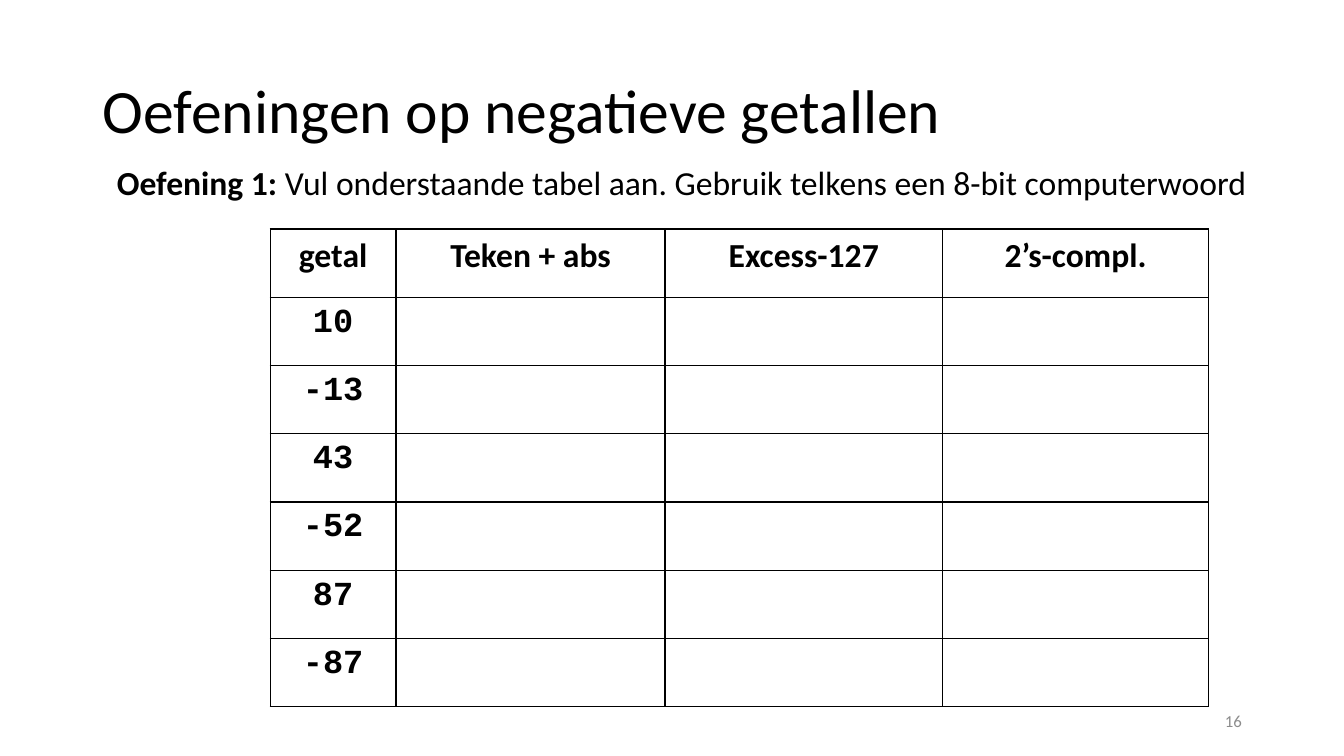
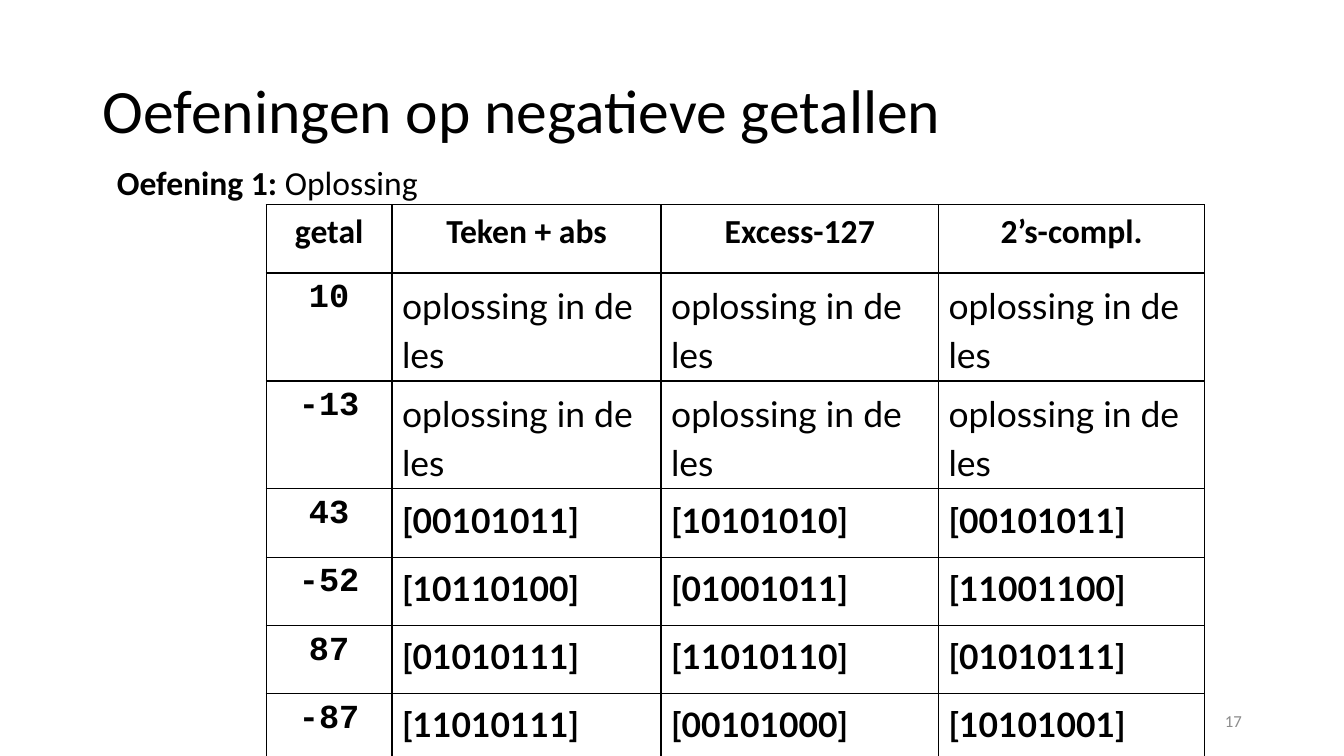
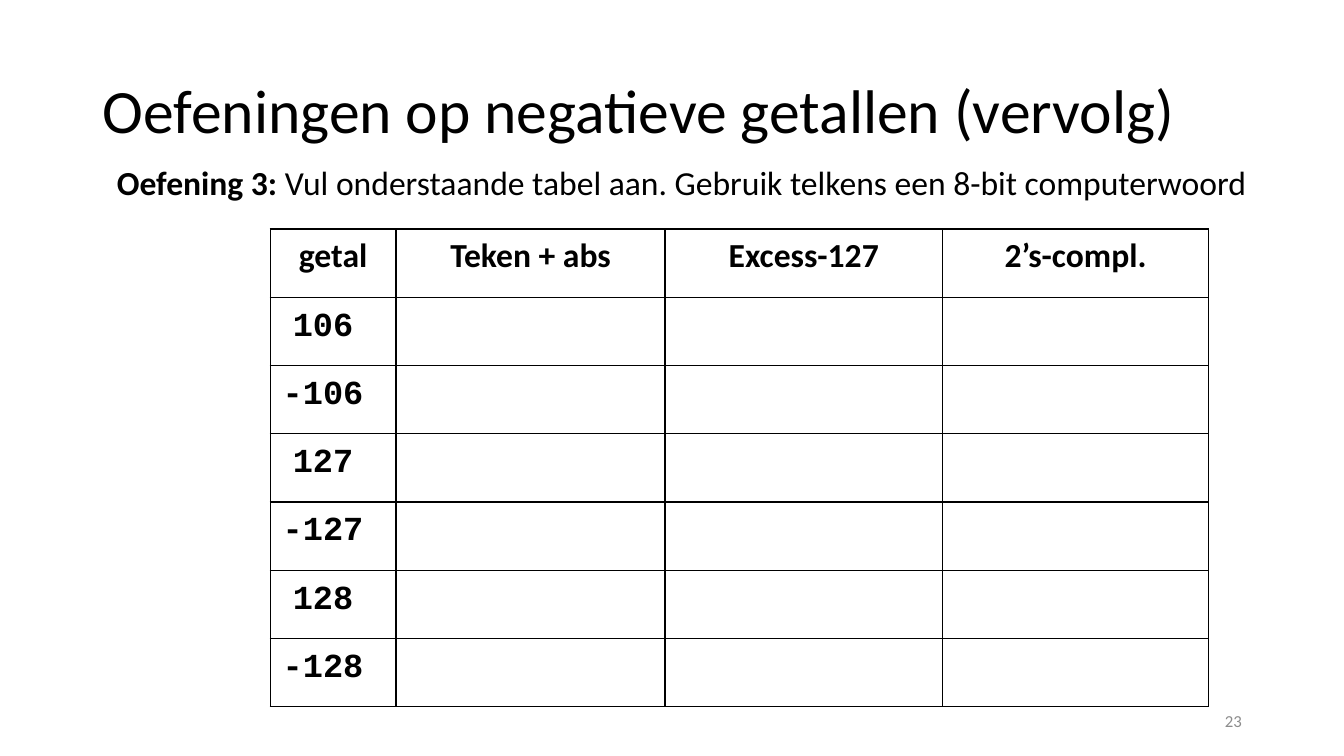
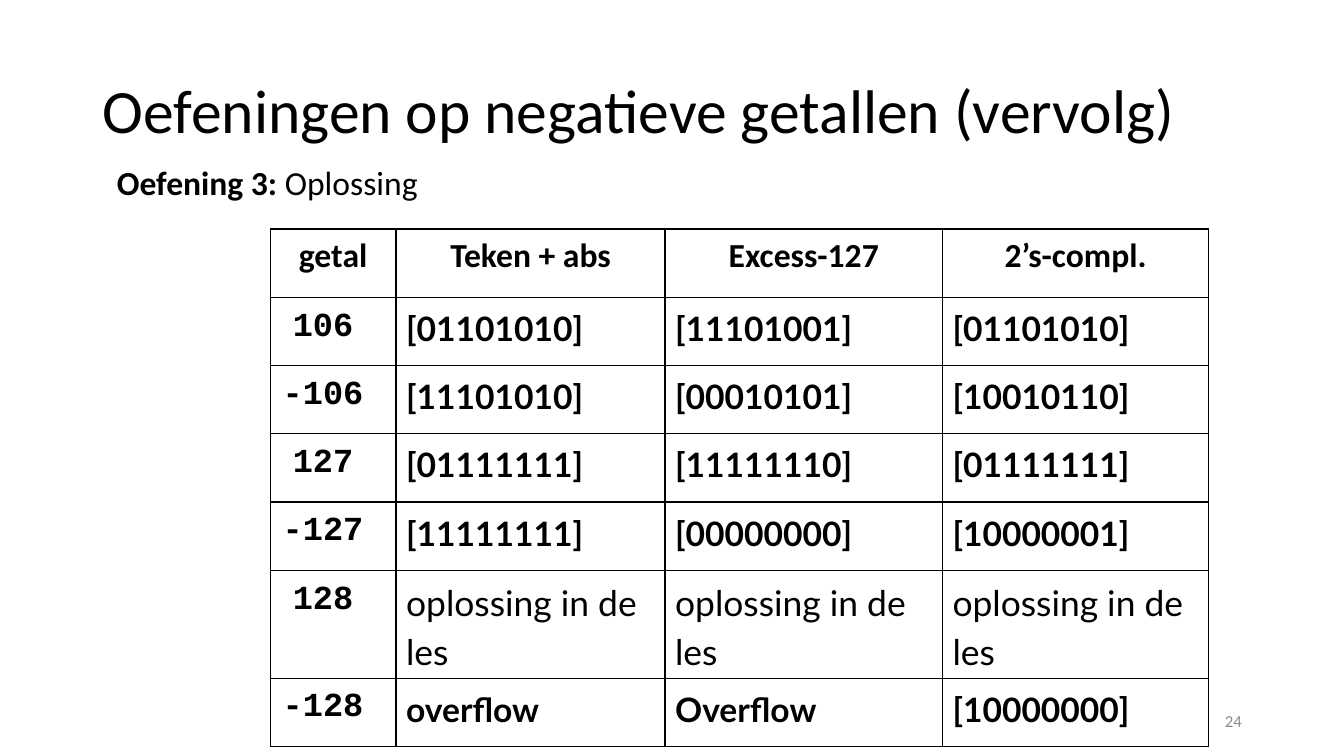
from lxml.etree import SubElement
from pptx import Presentation
from pptx.dml.color import RGBColor
from pptx.enum.text import MSO_ANCHOR as ANCHOR, MSO_AUTO_SIZE as AUTO, PP_ALIGN as ALIGN
from pptx.oxml.ns import qn
from pptx.util import Cm, Pt

BLACK = RGBColor(0x00, 0x00, 0x00)
WHITE = RGBColor(0xFF, 0xFF, 0xFF)
GRAY = RGBColor(0x8C, 0x8C, 0x8C)

TITLE_BOX = (2.34, 1.02, 29.21, 3.68)
BODY_BOX = (2.69, 4.06, 30.1, 13.72)
NUMBER_BOX = (23.93, 17.65, 7.62, 1.02)
TABLE_AT = (6.81, 5.77)
COLUMN_WIDTHS = (3.17, 6.78, 6.99, 6.71)
ROW_HEIGHT = 1.72

TITLE = "Oefeningen op negatieve getallen"
TITLE_NEXT = TITLE + " (vervolg)"
TASK = "Vul onderstaande tabel aan. Gebruik telkens een 8-bit computerwoord"
SOLUTION = "Oplossing"
HEADINGS = ("getal", "Teken + abs", "Excess-127", "2’s-compl.")
IN_CLASS = "oplossing in de les"

NUMBERS_1 = ("10", "-13", "43", "-52", "87", "-87")
NUMBERS_3 = ("106 ", "-106 ", "127 ", "-127 ", "128 ", "-128 ")
ANSWERS_1 = (
    (IN_CLASS,) * 3,
    (IN_CLASS,) * 3,
    ("[00101011]", "[10101010]", "[00101011]"),
    ("[10110100]", "[01001011]", "[11001100]"),
    ("[01010111]", "[11010110]", "[01010111]"),
    ("[11010111]", "[00101000]", "[10101001]"),
)
ANSWERS_3 = (
    ("[01101010]", "[11101001]", "[01101010]"),
    ("[11101010]", "[00010101]", "[10010110]"),
    ("[01111111]", "[11111110]", "[01111111]"),
    ("[11111111]", "[00000000]", "[10000001]"),
    (IN_CLASS,) * 3,
    ("overflow", "Overflow", "[10000000]"),
)


def add_text(p, text, size=24, font="Calibri", color=BLACK, bold=False,
             align=ALIGN.LEFT, line=1.0, before=0, after=0):
    """Append a formatted run to a paragraph and set the paragraph format."""
    p.alignment, p.line_spacing = align, line
    p.space_before, p.space_after = Pt(before), Pt(after)
    r = p.add_run()
    r.text = text
    r.font.size, r.font.name, r.font.bold = Pt(size), font, bold
    r.font.color.rgb = color


def place(sp, box, anchor):
    """Move a text shape to a box in cm and return its first paragraph."""
    sp.left, sp.top, sp.width, sp.height = (Cm(v) for v in box)
    tf = sp.text_frame
    tf.word_wrap, tf.auto_size, tf.vertical_anchor = True, AUTO.NONE, anchor
    return tf.paragraphs[0]


def add_base(prs, title, label, text, number):
    """Add a slide with its title, exercise line and slide number."""
    s = prs.slides.add_slide(prs.slide_layouts[1])
    p = place(s.shapes.title, TITLE_BOX, ANCHOR.MIDDLE)
    add_text(p, title, size=44, line=0.9)

    p = place(s.placeholders[1], BODY_BOX, ANCHOR.TOP)
    add_text(p, label + " ", bold=True, line=0.9, before=10)
    add_text(p, text, line=0.9, before=10)
    pPr = p._p.get_or_add_pPr()
    pPr.set("marL", str(Cm(0.64)))
    pPr.set("indent", str(Cm(-0.64)))
    SubElement(pPr, qn("a:buNone"))

    p = place(s.shapes.add_textbox(0, 0, 0, 0), NUMBER_BOX, ANCHOR.MIDDLE)
    add_text(p, str(number), size=12, color=GRAY, align=ALIGN.RIGHT)
    return s


def add_borders(cell):
    """Draw a thin black line on all sides of a cell."""
    tcPr = cell._tc.get_or_add_tcPr()
    for side in ("a:lnL", "a:lnR", "a:lnT", "a:lnB"):
        ln = SubElement(tcPr, qn(side), w=str(Pt(1)))
        fill = SubElement(ln, qn("a:solidFill"))
        SubElement(fill, qn("a:srgbClr"), val=str(BLACK))


def set_insets(cell):
    """Give a cell the wide margins of the headings."""
    cell.margin_left = cell.margin_right = Cm(0.33)
    cell.margin_top = cell.margin_bottom = Cm(0.17)


def fill_heading(cell, text):
    """Write a centred column heading."""
    set_insets(cell)
    add_text(cell.text_frame.paragraphs[0], text, bold=True, align=ALIGN.CENTER)


def fill_number(cell, text, spaced):
    """Write a number to convert, either compact or with loose spacing."""
    if not spaced:
        set_insets(cell)
    line, after = (1.15, 10) if spaced else (1.0, 0)
    add_text(cell.text_frame.paragraphs[0], text, font="Courier New", bold=True,
             align=ALIGN.CENTER, line=line, after=after)


def fill_answer(cell, text):
    """Write an answer, in bold unless it is left for the lesson."""
    later = text == IN_CLASS
    add_text(cell.text_frame.paragraphs[0], text, size=25.3 if later else 24,
             font="Lato", bold=not later, line=1.15, after=10)


def add_number_table(s, numbers, answers=(), at=TABLE_AT, spaced=False):
    """Add the table of numbers with their representations."""
    rows = len(numbers) + 1
    left, top = at
    table = s.shapes.add_table(rows, len(HEADINGS), Cm(left), Cm(top),
                               Cm(sum(COLUMN_WIDTHS)), Cm(rows * ROW_HEIGHT)).table
    table.first_row = table.horz_banding = False
    for column, width in zip(table.columns, COLUMN_WIDTHS):
        column.width = Cm(width)
    for row in table.rows:
        row.height = Cm(ROW_HEIGHT)
    for cell in table.iter_cells():
        add_borders(cell)
        cell.fill.background()
    for j, heading in enumerate(HEADINGS):
        cell = table.cell(0, j)
        cell.fill.solid()
        cell.fill.fore_color.rgb = WHITE
        fill_heading(cell, heading)
    for i, number in enumerate(numbers, 1):
        fill_number(table.cell(i, 0), number, spaced)
    for i, answer_row in enumerate(answers, 1):
        for j, answer in enumerate(answer_row, 1):
            fill_answer(table.cell(i, j), answer)


def main():
    """Build the four exercise slides."""
    prs = Presentation()
    prs.slide_width, prs.slide_height = Cm(33.87), Cm(19.05)

    s = add_base(prs, TITLE, "Oefening 1:", TASK, 16)
    add_number_table(s, NUMBERS_1)

    s = add_base(prs, TITLE, "Oefening 1:", SOLUTION, 17)
    add_number_table(s, NUMBERS_1, ANSWERS_1, at=(6.71, 5.16))

    s = add_base(prs, TITLE_NEXT, "Oefening 3:", TASK, 23)
    add_number_table(s, NUMBERS_3, spaced=True)

    s = add_base(prs, TITLE_NEXT, "Oefening 3:", SOLUTION, 24)
    add_number_table(s, NUMBERS_3, ANSWERS_3, spaced=True)

    prs.save("out.pptx")


main()
